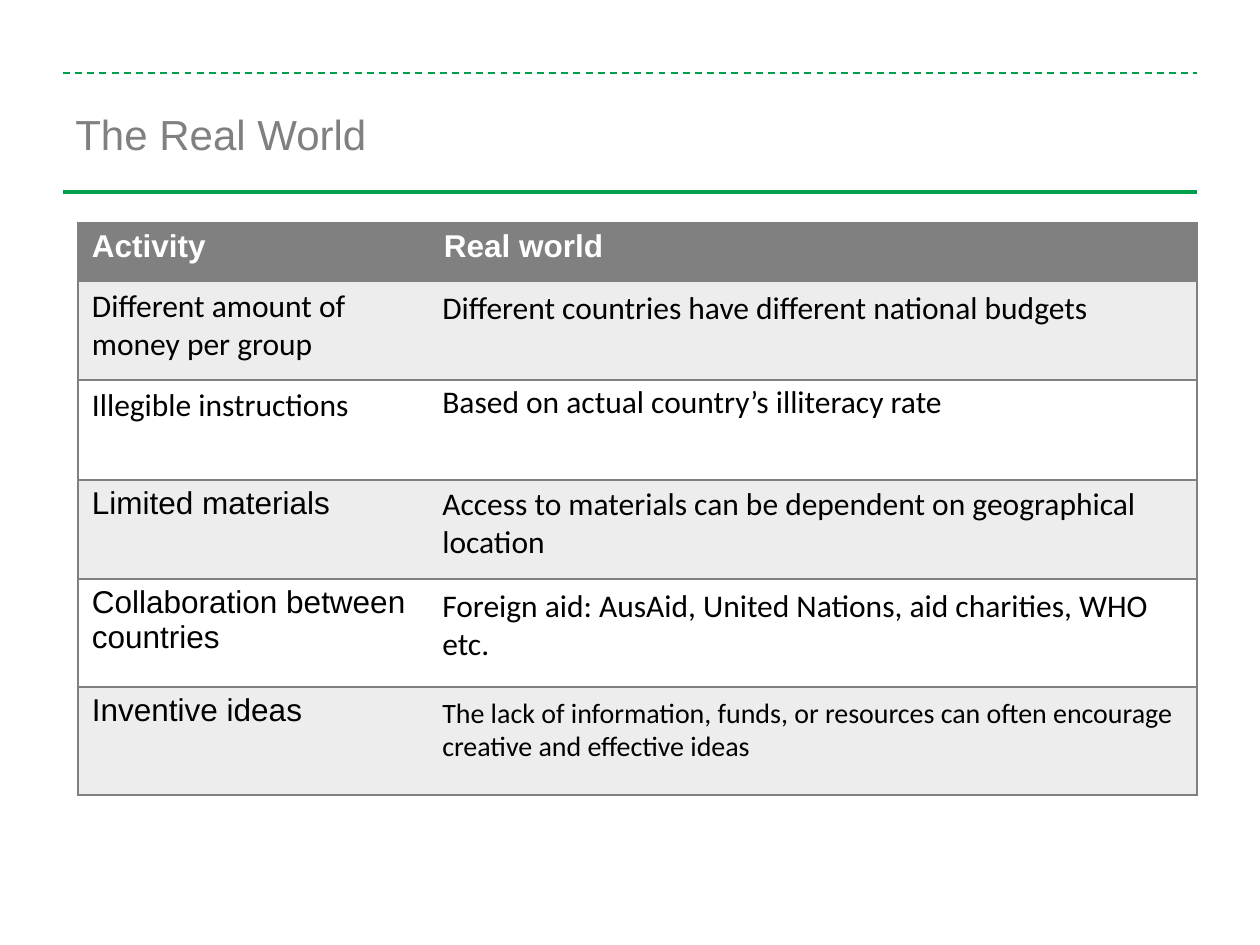
import pptx
import pptx.dml.color
import pptx.enum.dml
import pptx.enum.shapes
import pptx.enum.text
import pptx.oxml
import pptx.oxml.ns
import pptx.util

RGB = pptx.dml.color.RGBColor
GREEN = RGB(0x00, 0x9F, 0x4C)
GREY = RGB(0x80, 0x80, 0x80)
PALE = RGB(0xED, 0xED, 0xED)
WHITE = RGB(0xFF, 0xFF, 0xFF)
BLACK = RGB(0x00, 0x00, 0x00)
DASH = pptx.enum.dml.MSO_LINE.DASH
NS = pptx.oxml.ns.nsdecls("a")


def px(count):
    return pptx.util.Emu(round(count * 914400 / 126))


class Board:
    sans = "Arial"
    body = "Calibri"

    def __init__(self, slide):
        self.slide = slide

    def style(self, frame, font, size, color, bold=False):
        for para in frame.paragraphs:
            for run in para.runs:
                run.font.name = font
                run.font.size = pptx.util.Pt(size)
                run.font.bold = bold
                run.font.color.rgb = color

    def rule(self, left, right, y, width, dash=None):
        kind = pptx.enum.shapes.MSO_CONNECTOR.STRAIGHT
        line = self.slide.shapes.add_connector(
            kind, px(left), px(y), px(right), px(y))
        line.line.color.rgb = GREEN
        line.line.width = pptx.util.Pt(width)
        if dash:
            line.line.dash_style = dash
        effect = pptx.oxml.parse_xml(f"<a:effectLst {NS}/>")
        line._element.spPr.append(effect)

    def text(self, words, left, top, width, height, font, size, color,
             middle=False):
        box = self.slide.shapes.add_textbox(
            px(left), px(top), px(width), px(height))
        frame = box.text_frame
        frame.word_wrap = True
        if middle:
            frame.vertical_anchor = pptx.enum.text.MSO_ANCHOR.MIDDLE
        frame.text = words
        self.style(frame, font, size, color)

    def border(self, cell, sides):
        props = cell._tc.get_or_add_tcPr()
        for spot, side in enumerate("LRTB"):
            paint = (f'<a:solidFill><a:srgbClr val="{GREY}"/></a:solidFill>'
                     if side in sides else "<a:noFill/>")
            edge = f'<a:ln{side} {NS} w="12700">{paint}</a:ln{side}>'
            props.insert(spot, pptx.oxml.parse_xml(edge))

    def table(self, rows, left, top, widths, heights):
        shape = self.slide.shapes.add_table(
            len(rows), len(widths), px(left), px(top),
            px(sum(widths)), px(sum(heights)))
        grid = shape.table
        grid.first_row = grid.horz_banding = False
        for col, width in zip(grid.columns, widths):
            col.width = px(width)
        for r, (cells, height) in enumerate(zip(rows, heights)):
            grid.rows[r].height = px(height)
            head = r == 0
            fill = GREY if head else PALE if r % 2 else WHITE
            font = self.body if r in (1, 2) else self.sans
            for c, words in enumerate(cells):
                cell = grid.cell(r, c)
                cell.margin_left = cell.margin_right = px(14)
                cell.fill.solid()
                cell.fill.fore_color.rgb = fill
                self.border(cell, "RTB" if c else "LTB")
                cell.text_frame.text = words
                self.style(cell.text_frame, font, 18,
                           WHITE if head else BLACK, head)


def main():
    deck = pptx.Presentation()
    deck.slide_width, deck.slide_height = px(1260), px(945)
    board = Board(deck.slides.add_slide(deck.slide_layouts[6]))

    # Title between two rules
    board.rule(63, 1197, 73, 1, DASH)
    board.rule(63, 1197, 192, 2)
    board.text("The Real World", 63, 73, 1134, 122,
               board.sans, 24, GREY, middle=True)

    # Activity table
    rows = [
        ("Activity", "Real world"),
        ("Different amount of money per group", ""),
        ("Illegible instructions", ""),
        ("Limited materials", ""),
        ("Collaboration between countries", ""),
        ("Inventive ideas", ""),
    ]
    board.table(rows, 78, 223, (352, 767), (58, 99, 100, 99, 108, 108))

    # Real world notes laid over the second column
    notes = [
        ("Different countries have different national budgets",
         282, 753, 50, 18),
        ("Based on actual country’s illiteracy rate", 376, 770, 50, 18),
        ("Access to materials can be dependent on geographical location",
         478, 770, 89, 18),
        ("Foreign aid: AusAid, United Nations, aid charities, WHO etc.",
         580, 733, 123, 18),
        ("The lack of information, funds, or resources can often encourage "
         "creative and effective ideas", 689, 770, 81, 16),
    ]
    for words, top, width, height, size in notes:
        board.text(words, 430, top, width, height, board.body, size, BLACK)

    deck.save("out.pptx")


if __name__ == "__main__":
    main()
